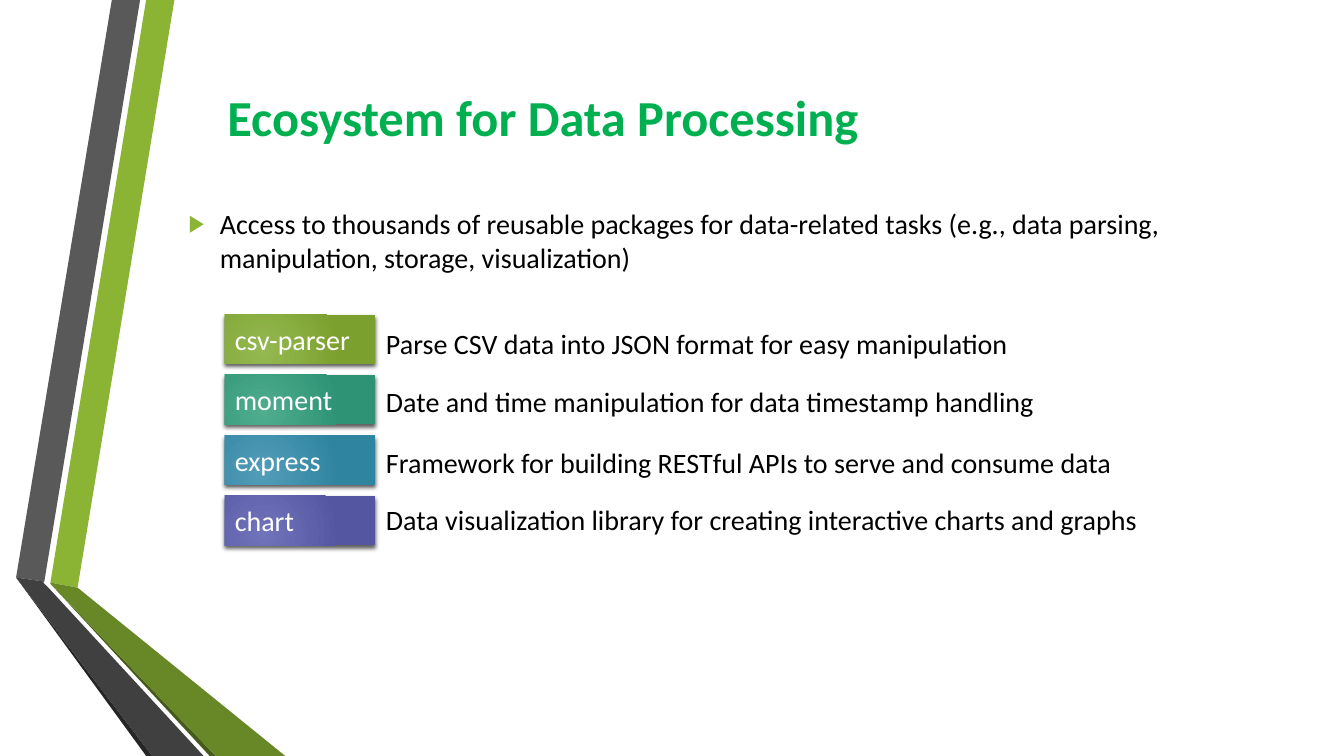
from lxml import etree
from pptx import Presentation
from pptx.dml.color import RGBColor
from pptx.enum.shapes import MSO_SHAPE
from pptx.enum.text import MSO_ANCHOR as ANCHOR, MSO_AUTO_SIZE as AUTO, PP_ALIGN as ALIGN
from pptx.oxml import parse_xml
from pptx.oxml.ns import nsdecls, qn
from pptx.util import Inches, Pt

BLACK = RGBColor(0x00, 0x00, 0x00)
WHITE = RGBColor(0xFF, 0xFF, 0xFF)
TITLE_GREEN = RGBColor(0x00, 0xB0, 0x50)
LIME = RGBColor(0x8B, 0xB4, 0x34)
OLIVE = RGBColor(0x68, 0x87, 0x27)
DARK_OLIVE = RGBColor(0x46, 0x5A, 0x1A)
GRAY = RGBColor(0x59, 0x59, 0x59)
DARK_GRAY = RGBColor(0x40, 0x40, 0x40)
CHARCOAL = RGBColor(0x26, 0x26, 0x26)
GREEN_GLOW = RGBColor(0x94, 0xB9, 0x51), RGBColor(0x7C, 0xA0, 0x2E)
TEAL_GLOW = RGBColor(0x4F, 0xAD, 0x8E), RGBColor(0x2D, 0x93, 0x74)
BLUE_GLOW = RGBColor(0x52, 0x9C, 0xB9), RGBColor(0x2F, 0x84, 0xA0)
VIOLET_GLOW = RGBColor(0x71, 0x73, 0xBA), RGBColor(0x54, 0x56, 0xA2)

RIBBONS = [
    (LIME, [(0.5, 5.78), (0.77, 5.83), (1.73, 0), (1.45, 0)]),
    (GRAY, [(1.39, 0), (1.11, 0), (0.16, 5.73), (0.44, 5.77)]),
    (CHARCOAL, [(0.16, 5.73), (1.45, 7.5), (1.51, 7.5)]),
    (DARK_OLIVE, [(0.5, 5.79), (2.08, 7.5), (2.14, 7.5)]),
    (OLIVE, [(0.5, 5.79), (2.14, 7.5), (2.83, 7.5), (0.77, 5.83), (0.5, 5.78)]),
    (DARK_GRAY, [(2.02, 7.5), (0.48, 5.83), (0.43, 5.78), (0.44, 5.77),
                 (0.16, 5.73), (1.51, 7.5)]),
]

PACKAGES = [
    ("csv-parser", GREEN_GLOW, 3.19, 6.61,
     "Parse CSV data into JSON format for easy manipulation"),
    ("moment", TEAL_GLOW, 3.77, 6.8,
     "Date and time manipulation for data timestamp handling"),
    ("express", BLUE_GLOW, 4.37, 7.62,
     "Framework for building RESTful APIs to serve and consume data"),
    ("chart", VIOLET_GLOW, 4.94, 7.86,
     "Data visualization library for creating interactive charts and graphs"),
]


class SlideBuilder:
    """Holds the text style and the current slide, and draws its elements."""

    font = "Calibri"
    size = 20

    def __init__(self, prs):
        self.slide = prs.slides.add_slide(prs.slide_layouts[1])
        self.shapes = self.slide.shapes

    def add_text(self, tf, text, color, size=None, bold=False, align=ALIGN.LEFT):
        p = tf.paragraphs[0]
        p.alignment = align
        r = p.add_run()
        r.text = text
        r.font.name = self.font
        r.font.size = Pt(size or self.size)
        r.font.bold = bold
        r.font.color.rgb = color
        return p

    def place(self, sp, left, top, width, height):
        sp.left, sp.top = Inches(left), Inches(top)
        sp.width, sp.height = Inches(width), Inches(height)
        tf = sp.text_frame
        tf.word_wrap = True
        tf.auto_size = AUTO.NONE
        tf.vertical_anchor = ANCHOR.MIDDLE
        return tf

    def ribbon(self, color, points):
        corners = [(Inches(x), Inches(y)) for x, y in points]
        builder = self.shapes.build_freeform(*corners[0])
        builder.add_line_segments(corners[1:], close=True)
        sp = builder.convert_to_shape()
        sp.fill.solid()
        sp.fill.fore_color.rgb = color
        sp.line.fill.background()
        sp.shadow.inherit = False

    def title(self, text, *box):
        tf = self.place(self.shapes.title, *box)
        self.add_text(tf, text, TITLE_GREEN, 36, True, ALIGN.CENTER)

    def bullet(self, text, *box):
        tf = self.place(self.slide.placeholders[1], *box)
        pPr = tf.paragraphs[0]._p.get_or_add_pPr()
        pPr.set("marL", str(Inches(0.31)))
        pPr.set("indent", str(Inches(-0.31)))
        for xml in (f'<a:buClr {nsdecls("a")}><a:srgbClr val="{LIME}"/></a:buClr>',
                    f'<a:buSzPct {nsdecls("a")} val="85000"/>',
                    f'<a:buFont {nsdecls("a")} typeface="Arial"/>',
                    f'<a:buChar {nsdecls("a")} char="▶"/>'):
            pPr.append(parse_xml(xml))
        p = self.add_text(tf, text, BLACK)
        p.space_before, p.space_after = Pt(0), Pt(6)

    def tag(self, text, glow, *box):
        sp = self.shapes.add_shape(MSO_SHAPE.RECTANGLE, *map(Inches, box))
        sp.fill.gradient()
        for stop, color, position in zip(sp.fill.gradient_stops, glow, (0, 1)):
            stop.color.rgb = color
            stop.position = position
        sp.line.fill.background()
        sp.shadow.inherit = False
        spPr = sp._element.spPr
        lin = spPr.find(".//" + qn("a:lin"))
        lin.getparent().replace(lin, parse_xml(
            f'<a:path {nsdecls("a")} path="circle">'
            '<a:fillToRect l="50000" t="100000" r="100000" b="50000"/></a:path>'))
        shadow = etree.SubElement(
            spPr.find(qn("a:effectLst")), qn("a:outerShdw"), blurRad=str(Pt(3)),
            dist=str(Pt(2)), dir="5400000", rotWithShape="0")
        black = etree.SubElement(shadow, qn("a:srgbClr"), val=str(BLACK))
        etree.SubElement(black, qn("a:alpha"), val="64000")
        tf = self.place(sp, *box)
        p = self.add_text(tf, text, WHITE)
        p.space_after = Pt(6)

    def label(self, text, *box):
        tf = self.shapes.add_textbox(*map(Inches, box)).text_frame
        tf.word_wrap = False
        tf.auto_size = AUTO.SHAPE_TO_FIT_TEXT
        self.add_text(tf, text, BLACK)


def main():
    prs = Presentation()
    prs.slide_width, prs.slide_height = Inches(13.33), Inches(7.5)
    s = SlideBuilder(prs)
    for color, points in RIBBONS:
        s.ribbon(color, points)
    s.title("Ecosystem for Data Processing", 1.95, 0.83, 6.87, 0.65)
    s.bullet("Access to thousands of reusable packages for data-related tasks "
             "(e.g., data parsing, manipulation, storage, visualization)",
             1.77, 1.92, 10.34, 0.93)
    for row, (name, glow, top, width, purpose) in enumerate(PACKAGES):
        s.tag(name, glow, 2.23, 3.12 + 0.6 * row, 1.49, 0.49)
        s.label(purpose, 3.73, top, width, 0.44)
    prs.save("out.pptx")


if __name__ == "__main__":
    main()
